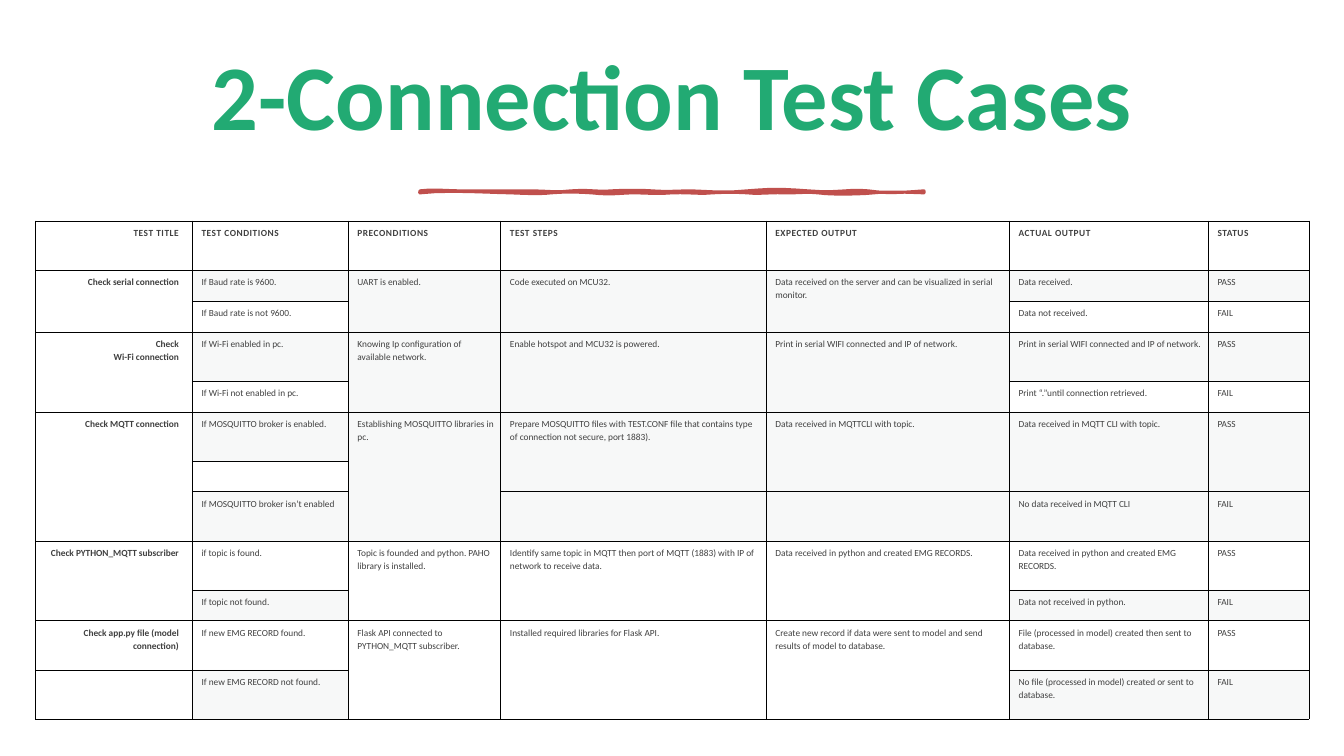
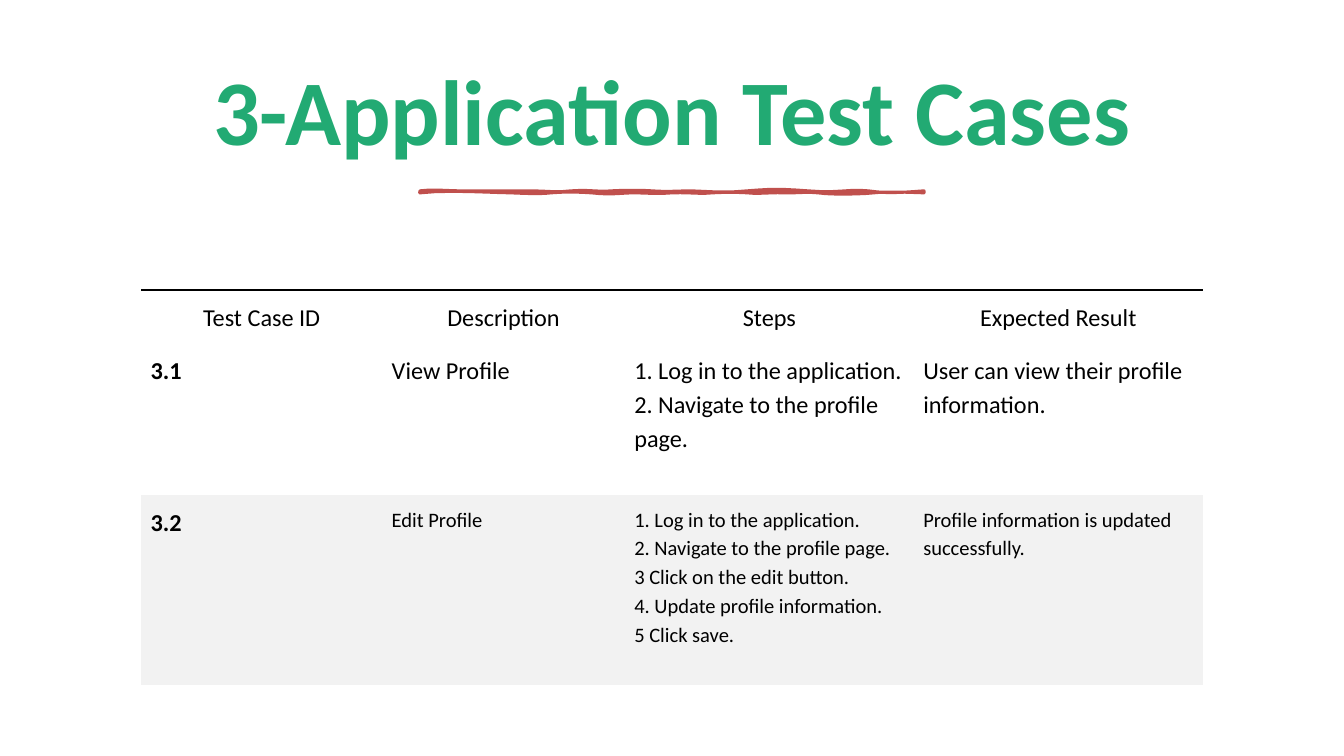
from dataclasses import dataclass
from typing import Callable, NamedTuple

from pptx import Presentation
from pptx import util as u
from pptx.dml.color import RGBColor
from pptx.enum import text as t
from pptx.oxml import parse_xml
from pptx.oxml.ns import nsdecls, qn

# Shared look: 100 px to the inch
PX = 9144
FONT = "Calibri"
GREEN, RED, BLACK, GRAY = "22AA73", "C0504D", "000000", "404040"
MIST, PALE = "D8DEDC", "F2F2F2"
PLAIN = "{2D5ABB26-0587-4C30-8999-92F81FD0307C}"  # no style, no grid
LEFT, MID, RIGHT = t.PP_ALIGN.LEFT, t.PP_ALIGN.CENTER, t.PP_ALIGN.RIGHT

# Brush stroke: start point, then cubic curves (two handles and an end)
START = (625, 284)
CURVES = [
    (648, 281, 674, 285, 700, 284), (725, 284, 742, 284, 782, 284),
    (822, 284, 822, 287, 850, 284), (877, 282, 892, 286, 910, 284),
    (928, 283, 956, 283, 970, 284), (983, 285, 997, 285, 1022, 284),
    (1047, 284, 1074, 288, 1112, 284), (1150, 281, 1160, 281, 1202, 284),
    (1245, 288, 1264, 281, 1292, 284), (1320, 288, 1336, 287, 1375, 284),
    (1375, 286, 1375, 287, 1375, 287), (1350, 286, 1317, 285, 1300, 287),
    (1283, 289, 1236, 290, 1217, 287), (1199, 285, 1178, 288, 1165, 287),
    (1151, 286, 1129, 289, 1112, 287), (1096, 286, 1079, 286, 1060, 287),
    (1040, 289, 1026, 286, 1000, 287), (974, 289, 964, 287, 940, 287),
    (915, 288, 908, 290, 880, 287), (851, 285, 834, 286, 820, 287),
    (805, 289, 782, 288, 760, 287), (738, 287, 664, 282, 625, 287),
    (624, 287, 625, 285, 625, 284),
]
STEPS = 6


class Look(NamedTuple):
    """How one table cell is set."""
    size: int
    color: str
    pad: tuple[int, int, int, int]  # left, top, right, bottom
    bold: bool = False
    align: t.PP_ALIGN = LEFT
    track: int = 0
    fill: str = ""
    alpha: int = 100
    edges: str = ""
    width: float = 1


@dataclass
class Grid:
    """A table; None in data joins a cell to the one above."""
    left: int
    top: int
    cols: list[int]
    rows: list[int]
    data: list[list[str | None]]
    look: Callable[[int, int], Look]


@dataclass
class Page:
    title: str
    height: int
    grid: Grid


def px(n: float) -> u.Emu:
    return u.Emu(round(n * PX))


def rgb(code: str) -> RGBColor:
    return RGBColor.from_string(code)


def style(para, size: int, color: str, bold: bool, align: t.PP_ALIGN,
          space: float) -> None:
    para.alignment = align
    para.line_spacing = space
    font = para.font
    font.name, font.size, font.bold = FONT, u.Pt(size), bold
    font.color.rgb = rgb(color)


def add_title(slide, words: str, height: int) -> None:
    box = slide.shapes.add_textbox(px(105), px(69), px(1790), px(height))
    frame = box.text_frame
    frame.word_wrap = True
    frame.vertical_anchor = t.MSO_ANCHOR.MIDDLE
    frame.text = words
    style(frame.paragraphs[0], 99, GREEN, True, MID, 0.9)


def add_stroke(slide) -> None:
    """Trace the curves as short straight steps."""
    points, (x, y) = [], START
    for ax, ay, bx, by, cx, cy in CURVES:
        for step in range(1, STEPS + 1):
            k = step / STEPS
            j = 1 - k
            mix = (j ** 3, 3 * j * j * k, 3 * j * k * k, k ** 3)
            points.append(tuple(
                px(sum(m * v for m, v in zip(mix, line)))
                for line in ((x, ax, bx, cx), (y, ay, by, cy))))
        x, y = cx, cy
    pen = slide.shapes.build_freeform(px(START[0]), px(START[1]), scale=1.0)
    pen.add_line_segments(points, close=True)
    shape = pen.convert_to_shape()
    shape.shadow.inherit = False
    shape.fill.solid()
    shape.fill.fore_color.rgb = rgb(RED)
    shape.line.color.rgb = rgb(RED)
    shape.line.width = u.Pt(3.25)


def paint(cell, look: Look) -> None:
    """Set the borders, then the fill."""
    props = cell._tc.get_or_add_tcPr()
    for edge in look.edges:
        props.append(parse_xml(
            f'<a:ln{edge} {nsdecls("a")} w="{u.Pt(look.width)}"><a:solidFill>'
            f'<a:srgbClr val="{BLACK}"/></a:solidFill></a:ln{edge}>'))
    if not look.fill:
        cell.fill.background()
        return
    cell.fill.solid()
    cell.fill.fore_color.rgb = rgb(look.fill)
    if look.alpha < 100:
        tint = props.find(qn("a:solidFill"))[0]
        tint.append(parse_xml(
            f'<a:alpha {nsdecls("a")} val="{look.alpha * 1000}"/>'))


def write(cell, words: str, look: Look) -> None:
    (cell.margin_left, cell.margin_top,
     cell.margin_right, cell.margin_bottom) = map(px, look.pad)
    cell.text = words
    for para in cell.text_frame.paragraphs:
        style(para, look.size, look.color, look.bold, look.align, 1.15)
        if look.track:
            for run in para.runs:
                run._r.get_or_add_rPr().set("spc", str(look.track))


def add_grid(slide, grid: Grid) -> None:
    table = slide.shapes.add_table(
        len(grid.rows), len(grid.cols), px(grid.left), px(grid.top),
        px(sum(grid.cols)), px(sum(grid.rows))).table
    table.first_row = table.horz_banding = False
    table._tbl.tblPr.find(qn("a:tableStyleId")).text = PLAIN
    for col, width in zip(table.columns, grid.cols):
        col.width = px(width)
    for row, height in zip(table.rows, grid.rows):
        row.height = px(height)
    for r, line in enumerate(grid.data):
        for c, words in enumerate(line):
            cell, look = table.cell(r, c), grid.look(r, c)
            paint(cell, look)
            if words:
                write(cell, words, look)
            # Join the empty cells below
            end = r
            while end + 1 < len(grid.data) and grid.data[end + 1][c] is None:
                end += 1
            if words is not None and end > r:
                cell.merge(table.cell(end, c))


# Connection tests: odd rows are tinted, the first column is bold
def link_look(r: int, c: int) -> Look:
    first = c == 0
    return Look(
        10, GRAY, (14, 7, 20 if first else 6, 7), bold=first or r == 0,
        align=RIGHT if first else LEFT, track=0 if r else 60,
        fill=MIST if r % 2 and not first else "", alpha=20, edges="LRTB")


# Application tests: a rule on top, the last row shaded
def app_look(r: int, c: int) -> Look:
    return Look(
        22 if r == 2 and c else 26, BLACK, (14, 13, 14, 13),
        bold=r > 0 and c == 0, align=LEFT if r else MID,
        fill=PALE if r == 2 else "", edges="" if r else "T", width=2.25)


LINKS = [
    ["TEST TITLE", "TEST CONDITIONS", "PRECONDITIONS", "TEST STEPS",
     "EXPECTED OUTPUT", "ACTUAL OUTPUT", "STATUS"],
    ["Check serial connection", "If Baud rate is 9600.", "UART is enabled.",
     "Code executed on MCU32.",
     "Data received on the server and can be visualized in serial monitor.",
     "Data received.", "PASS"],
    [None, "If Baud rate is not 9600.", None, None, None,
     "Data not received.", "FAIL"],
    ["Check\nWi-Fi connection", "If Wi-Fi enabled in pc.",
     "Knowing Ip configuration of available network.",
     "Enable hotspot and MCU32 is powered.",
     "Print in serial WIFI connected and IP of network.",
     "Print in serial WIFI connected and IP of network.", "PASS"],
    [None, "If Wi-Fi not enabled in pc.", None, None, None,
     "Print “.”until connection retrieved.", "FAIL"],
    ["Check MQTT connection", "If MOSQUITTO broker is enabled.",
     "Establishing MOSQUITTO libraries in pc.",
     "Prepare MOSQUITTO files with TEST.CONF file that contains type of "
     "connection not secure, port 1883).",
     "Data received in MQTTCLI with topic.",
     "Data received in MQTT CLI with topic.", "PASS"],
    [None, "", None, None, None, None, None],
    [None, "If MOSQUITTO broker isn’t enabled", None, "", "",
     "No data received in MQTT CLI", "FAIL"],
    ["Check PYTHON_MQTT subscriber", "if topic is found.",
     "Topic is founded and python. PAHO library is installed.",
     "Identify same topic in MQTT then port of MQTT (1883) with IP of "
     "network to receive data.",
     "Data received in python and created EMG RECORDS.",
     "Data received in python and created EMG RECORDS.", "PASS"],
    [None, "If topic not found.", None, None, None,
     "Data not received in python.", "FAIL"],
    ["Check app.py file (model connection)", "If new EMG RECORD found.",
     "Flask API connected to PYTHON_MQTT subscriber.",
     "Installed required libraries for Flask API.",
     "Create new record if data were sent to model and send results of "
     "model to database.",
     "File (processed in model) created then sent to database.", "PASS"],
    ["", "If new EMG RECORD not found.", None, None, None,
     "No file (processed in model) created or sent to database.", "FAIL"],
]

APPS = [
    ["Test Case ID", "Description", "Steps", "Expected Result"],
    ["3.1", "View Profile",
     "1. Log in to the application.\n2. Navigate to the profile page.",
     "User can view their profile information."],
    ["3.2", "Edit Profile",
     "1. Log in to the application.\n2. Navigate to the profile page.\n"
     "3 Click on the edit button.\n4. Update profile information.\n"
     "5 Click save.",
     "Profile information is updated successfully."],
]

TALL, LOW = 73, 46
PAGES = [
    Page("2-Connection Test Cases", 162, Grid(
        53, 329, [233, 232, 227, 395, 362, 296, 150],
        [TALL, LOW, LOW, TALL, LOW, TALL, LOW, TALL, TALL, LOW, TALL, TALL],
        LINKS, link_look)),
    Page("3-Application Test Cases", 205, Grid(
        210, 432, [359, 361, 430, 430], [79, 226, 283], APPS, app_look)),
]


def main() -> None:
    deck = Presentation()
    deck.slide_width, deck.slide_height = px(2000), px(1125)
    for page in PAGES:
        slide = deck.slides.add_slide(deck.slide_layouts[6])
        add_title(slide, page.title, page.height)
        add_stroke(slide)
        add_grid(slide, page.grid)
    deck.save("out.pptx")


if __name__ == "__main__":
    main()
